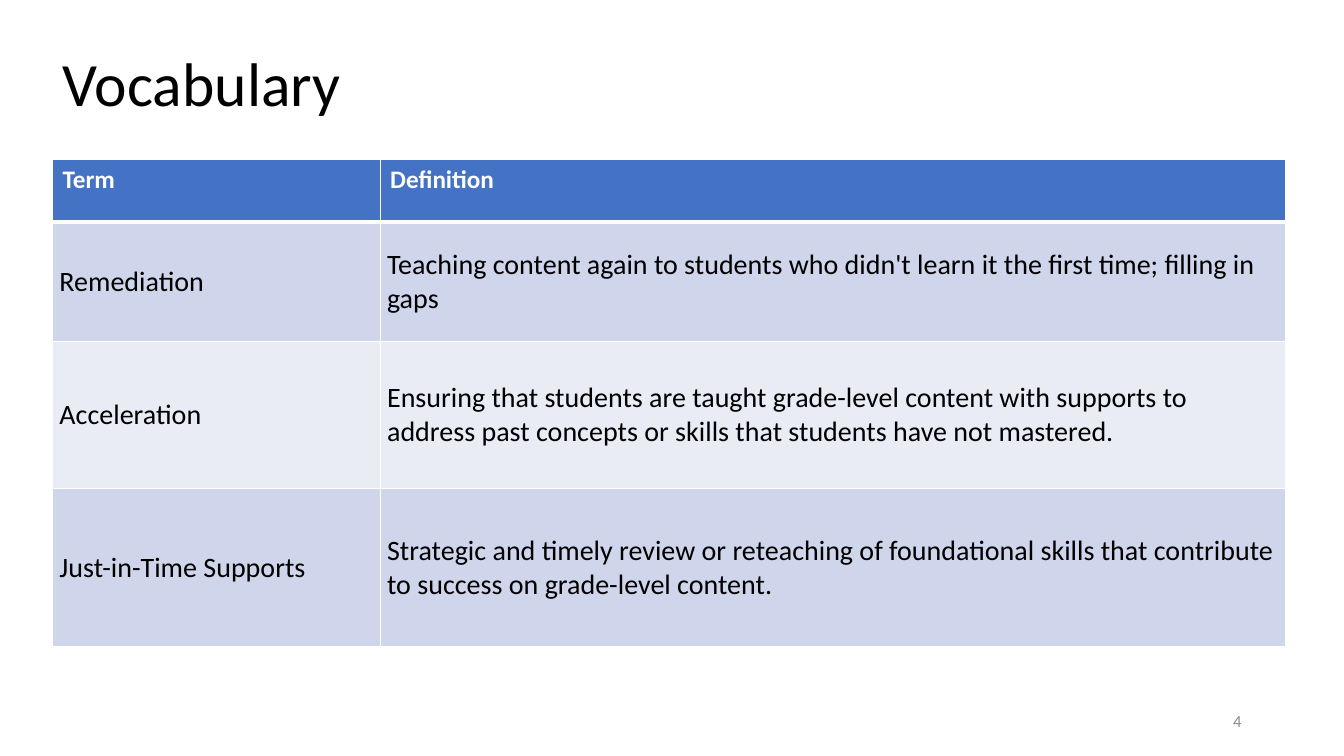
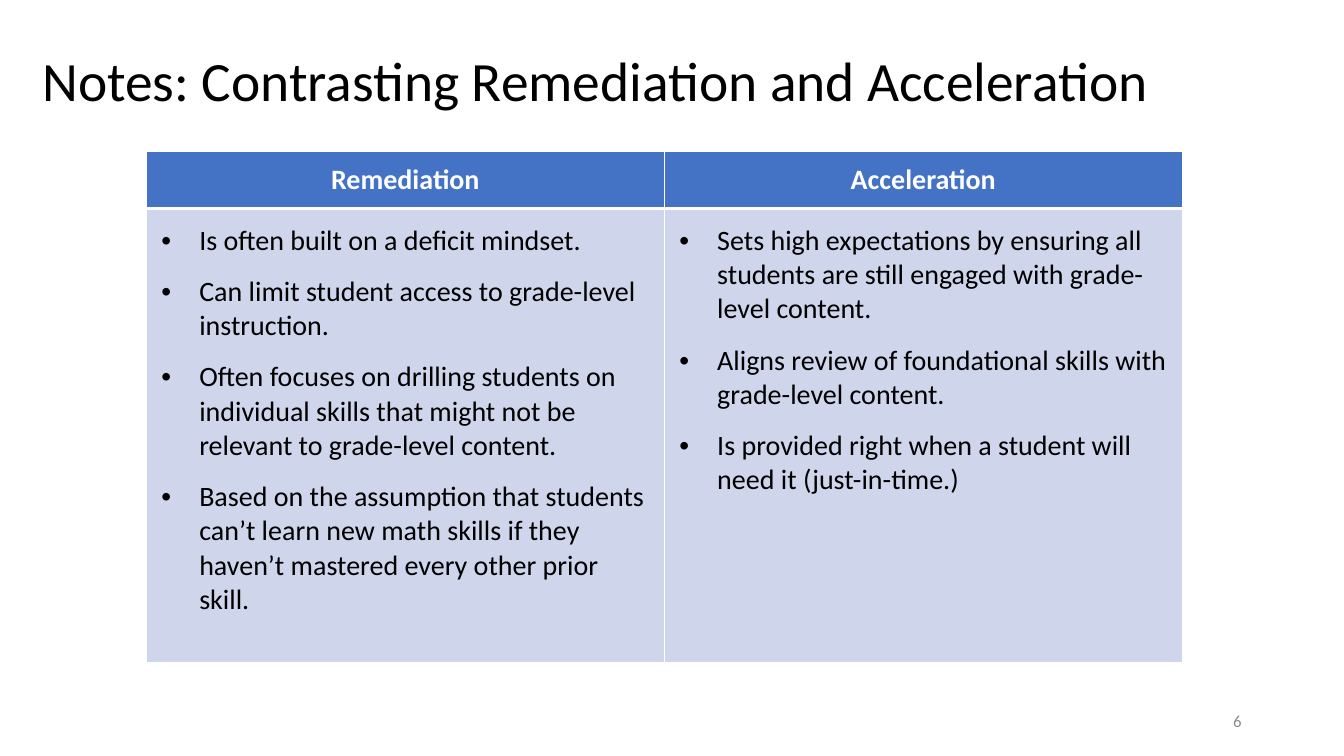
import lxml.etree
import pptx
import pptx.dml.color
import pptx.enum.text
import pptx.oxml.ns
import pptx.util

Pt = pptx.util.Pt
qn = pptx.oxml.ns.qn
ALIGN = pptx.enum.text.PP_ALIGN
ANCHOR = pptx.enum.text.MSO_ANCHOR

FONT = "Calibri"
INK = {
    "text": "000000",
    "white": "FFFFFF",
    "gray": "8C8C8C",
    "head": "4472C4",
    "dark": "CFD5EA",
    "light": "E9EBF5",
}
SLIM = (5, 0, 5, 0)      # cell margins: left, top, right, bottom
NORMAL = (7.2, 3.6, 7.2, 3.6)
WIDE = (10.8, 10.8, 10.8, 10.8)


def tint(name):
    return pptx.dml.color.RGBColor.from_string(INK[name])


def write(para, text, size, color="text", bold=False):
    run = para.add_run()
    run.text = text
    font = run.font
    font.name, font.size, font.bold = FONT, Pt(size), bold
    font.color.rgb = tint(color)


def bullet(para, indent=27):
    props = para._p.get_or_add_pPr()
    props.set("marL", str(Pt(indent)))
    props.set("indent", str(-Pt(indent)))
    lxml.etree.SubElement(props, qn("a:buFont")).set("typeface", "Arial")
    lxml.etree.SubElement(props, qn("a:buChar")).set("char", "•")


def border(cell, top, bottom):
    """White lines on all four sides; widths in points."""
    props = cell._tc.get_or_add_tcPr()
    sides = (("L", 1), ("R", 1), ("T", top), ("B", bottom))
    for spot, (side, width) in enumerate(sides):
        line = lxml.etree.Element(qn("a:ln" + side), w=str(Pt(width)))
        fill = lxml.etree.SubElement(line, qn("a:solidFill"))
        lxml.etree.SubElement(fill, qn("a:srgbClr")).set("val", INK["white"])
        props.insert(spot, line)


# Title and slide number, shared by both slides
def start(deck, text, size, box, number):
    slide = deck.slides.add_slide(deck.slide_layouts.get_by_name("Title Only"))
    title = slide.shapes.title
    title.left, title.top, title.width, title.height = map(Pt, box)
    frame = title.text_frame
    frame.word_wrap = True
    frame.auto_size = pptx.enum.text.MSO_AUTO_SIZE.NONE
    frame.vertical_anchor = ANCHOR.MIDDLE
    para = frame.paragraphs[0]
    para.alignment, para.line_spacing = ALIGN.LEFT, 0.9
    write(para, text, size)

    note = slide.shapes.add_textbox(Pt(678), Pt(500.5), Pt(216), Pt(28.75))
    note.text_frame.word_wrap = True
    note.text_frame.vertical_anchor = ANCHOR.MIDDLE
    para = note.text_frame.paragraphs[0]
    para.alignment = ALIGN.RIGHT
    write(para, str(number), 12, "gray")
    return slide


# Empty table with fills and lines
def grid(slide, left, top, cols, rows):
    frame = slide.shapes.add_table(len(rows), len(cols), Pt(left), Pt(top),
                                   Pt(sum(cols)), Pt(sum(rows)))
    table = frame.table
    for col, width in zip(table.columns, cols):
        col.width = Pt(width)
    for index, height in enumerate(rows):
        table.rows[index].height = Pt(height)
        shade = "head" if index == 0 else ("light", "dark")[index % 2]
        for cell in table.rows[index].cells:
            cell.fill.solid()
            cell.fill.fore_color.rgb = tint(shade)
            border(cell, 3 if index == 1 else 1, 3 if index == 0 else 1)
    return table


def fill(cell, lines, size=20, color="text", bold=False, pad=SLIM,
         anchor=ANCHOR.MIDDLE, align=ALIGN.LEFT, dots=False):
    (cell.margin_left, cell.margin_top,
     cell.margin_right, cell.margin_bottom) = map(Pt, pad)
    cell.vertical_anchor = anchor
    frame = cell.text_frame
    for index, line in enumerate(lines):
        para = frame.add_paragraph() if index else frame.paragraphs[0]
        if dots:
            bullet(para)
        if index:
            para.space_before = Pt(12)
        para.alignment = align
        write(para, line, size, color, bold)


# Slide with terms and definitions
def vocab(deck):
    slide = start(deck, "Vocabulary", 44, (37.5, 9.5, 828, 104.5), 4)
    table = grid(slide, 37.5, 114, (234, 646.5), (44.5, 85.5, 105, 113))
    for cell, text in zip(table.rows[0].cells, ("Term", "Definition")):
        fill(cell, [text], 18, "white", True, NORMAL, ANCHOR.TOP)
    terms = (
        ("Remediation",
         "Teaching content again to students who didn't learn it the first "
         "time; filling in gaps"),
        ("Acceleration",
         "Ensuring that students are taught grade-level content with supports "
         "to address past concepts or skills that students have not mastered."),
        ("Just-in-Time Supports",
         "Strategic and timely review or reteaching of foundational skills "
         "that contribute to success on grade-level content."),
    )
    for row, pair in enumerate(terms, 1):
        for cell, text in zip(table.rows[row].cells, pair):
            fill(cell, [text])


# Slide with two columns of points
def notes(deck):
    slide = start(deck, "Notes: Contrasting Remediation and Acceleration",
                  39.6, (23, 18.5, 828, 83), 6)
    table = grid(slide, 104.5, 108, (370, 370), (41, 324))
    sides = {
        "Remediation": (
            "Is often built on a deficit mindset.",
            "Can limit student access to grade-level instruction.",
            "Often focuses on drilling students on individual skills that "
            "might not be relevant to grade-level content.",
            "Based on the assumption that students can’t learn new math "
            "skills if they haven’t mastered every other prior skill.",
        ),
        "Acceleration": (
            "Sets high expectations by ensuring all students are still "
            "engaged with grade-level content.",
            "Aligns review of foundational skills with grade-level content.",
            "Is provided right when a student will need it (just-in-time.)",
        ),
    }
    for col, (head, points) in enumerate(sides.items()):
        fill(table.cell(0, col), [head], color="white", bold=True,
             align=ALIGN.CENTER)
        fill(table.cell(1, col), points, pad=WIDE, anchor=ANCHOR.TOP,
             dots=True)


def main():
    deck = pptx.Presentation()
    deck.slide_width, deck.slide_height = Pt(960), Pt(540)
    vocab(deck)
    notes(deck)
    deck.save("out.pptx")


if __name__ == "__main__":
    main()
